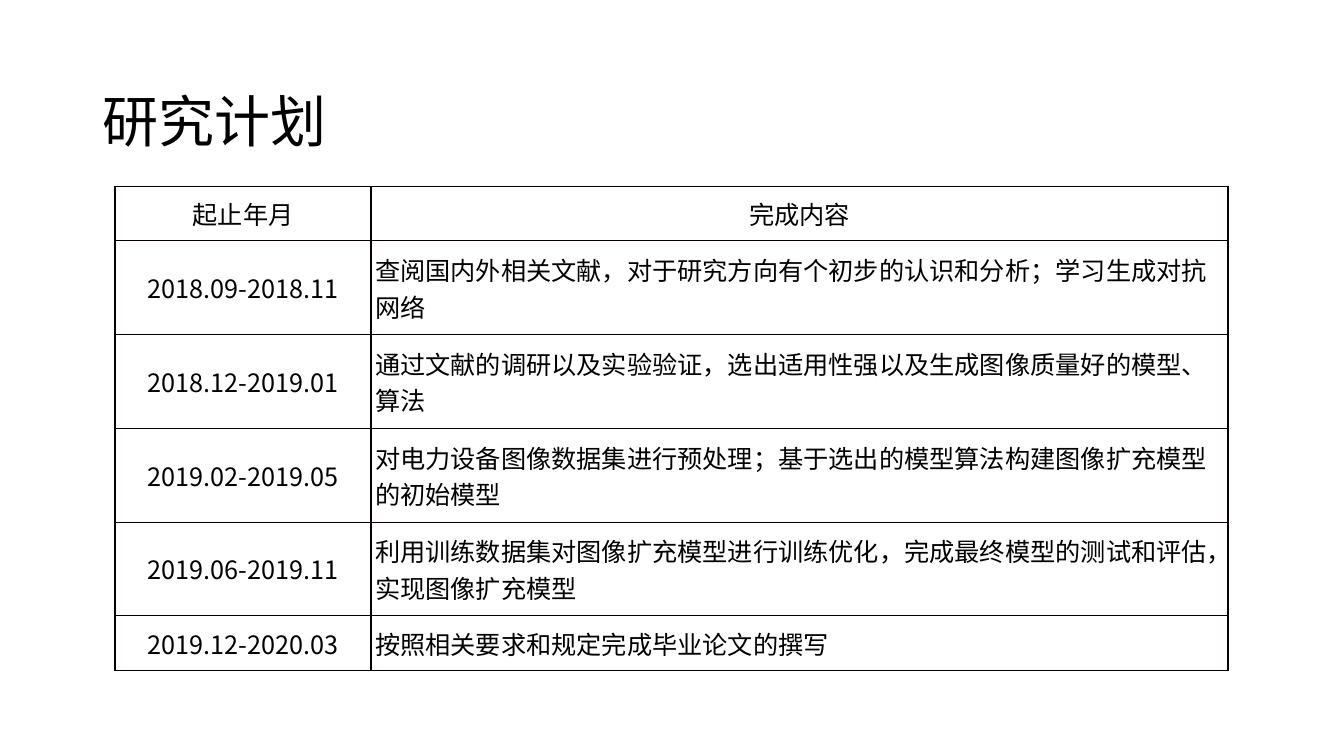
from dataclasses import dataclass

from lxml import etree
from pptx import Presentation
from pptx import util as u
from pptx.dml.color import RGBColor
from pptx.enum import text
from pptx.oxml.ns import qn


@dataclass(frozen=True)
class Theme:
    ink: str = "000000"
    border: str = "080000"
    title_font: str = "Arial"
    table_font: str = "Noto Sans CJK SC"
    title_size: int = 40
    table_size: int = 18


theme = Theme()


def write(frame, content, *, font, size, align=text.PP_ALIGN.LEFT, spacing=1.0):
    frame.word_wrap = True
    paragraph = frame.paragraphs[0]
    paragraph.alignment = align
    paragraph.line_spacing = spacing
    run = paragraph.add_run()
    run.text = content
    run.font.name = font
    run.font.size = u.Pt(size)
    run.font.color.rgb = RGBColor.from_string(theme.ink)
    east_asian = etree.SubElement(run.font._element, qn("a:ea"))
    east_asian.set("typeface", theme.table_font)


def add_borders(cell, widths):
    properties = cell._tc.get_or_add_tcPr()
    for position, (side, width) in enumerate(widths.items()):
        line = etree.Element(qn(f"a:ln{side}"), w=str(u.Pt(width)))
        fill = etree.SubElement(line, qn("a:solidFill"))
        etree.SubElement(fill, qn("a:srgbClr"), val=theme.border)
        properties.insert(position, line)


presentation = Presentation()
presentation.slide_width = u.Inches(13.33)
presentation.slide_height = u.Inches(7.5)
slide = presentation.slides.add_slide(presentation.slide_layouts[6])

title = slide.shapes.add_textbox(
    u.Inches(0.92), u.Inches(0.4), u.Inches(11.5), u.Inches(1.45)
)
title.text_frame.vertical_anchor = text.MSO_ANCHOR.MIDDLE
write(title.text_frame, "研究计划", font=theme.title_font,
      size=theme.title_size, spacing=1.2)

plan = [
    ("起止年月", "完成内容"),
    ("2018.09-2018.11", "查阅国内外相关文献，对于研究方向有个初步的认识和分析；学习生成对抗网络"),
    ("2018.12-2019.01", "通过文献的调研以及实验验证，选出适用性强以及生成图像质量好的模型、算法"),
    ("2019.02-2019.05", "对电力设备图像数据集进行预处理；基于选出的模型算法构建图像扩充模型的初始模型"),
    ("2019.06-2019.11", "利用训练数据集对图像扩充模型进行训练优化，完成最终模型的测试和评估，实现图像扩充模型"),
    ("2019.12-2020.03", "按照相关要求和规定完成毕业论文的撰写"),
]
column_widths = [2.54, 8.5]
row_heights = [0.54, 0.93, 0.93, 0.93, 0.93, 0.54]

table = slide.shapes.add_table(
    len(plan), len(column_widths), u.Inches(1.14), u.Inches(1.85),
    u.Inches(sum(column_widths)), u.Inches(sum(row_heights))
).table
table.horz_banding = False
table.first_row = False
for column, width in zip(table.columns, column_widths):
    column.width = u.Inches(width)

for row_index, (entries, height) in enumerate(zip(plan, row_heights)):
    table.rows[row_index].height = u.Inches(height)
    for column_index, entry in enumerate(entries):
        cell = table.cell(row_index, column_index)
        cell.fill.background()
        cell.vertical_anchor = text.MSO_ANCHOR.MIDDLE
        cell.margin_left = cell.margin_right = u.Inches(0.04)
        cell.margin_top = cell.margin_bottom = u.Inches(0.04)
        centred = row_index == 0 or column_index == 0
        write(cell.text_frame, entry, font=theme.table_font, size=theme.table_size,
              align=text.PP_ALIGN.CENTER if centred else text.PP_ALIGN.LEFT)
        left = 1.5 if column_index == 0 else 1
        add_borders(cell, {"L": left, "R": 1, "T": 1, "B": 1})

presentation.save("out.pptx")
